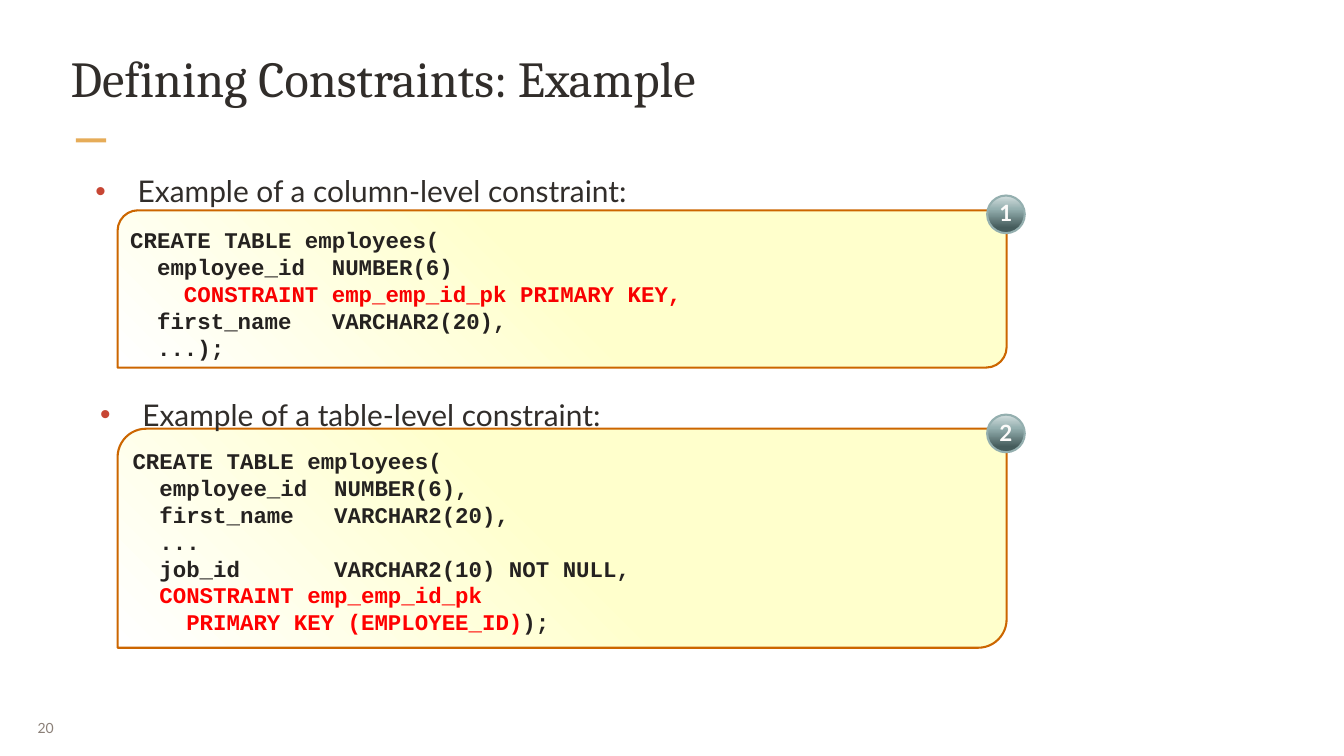
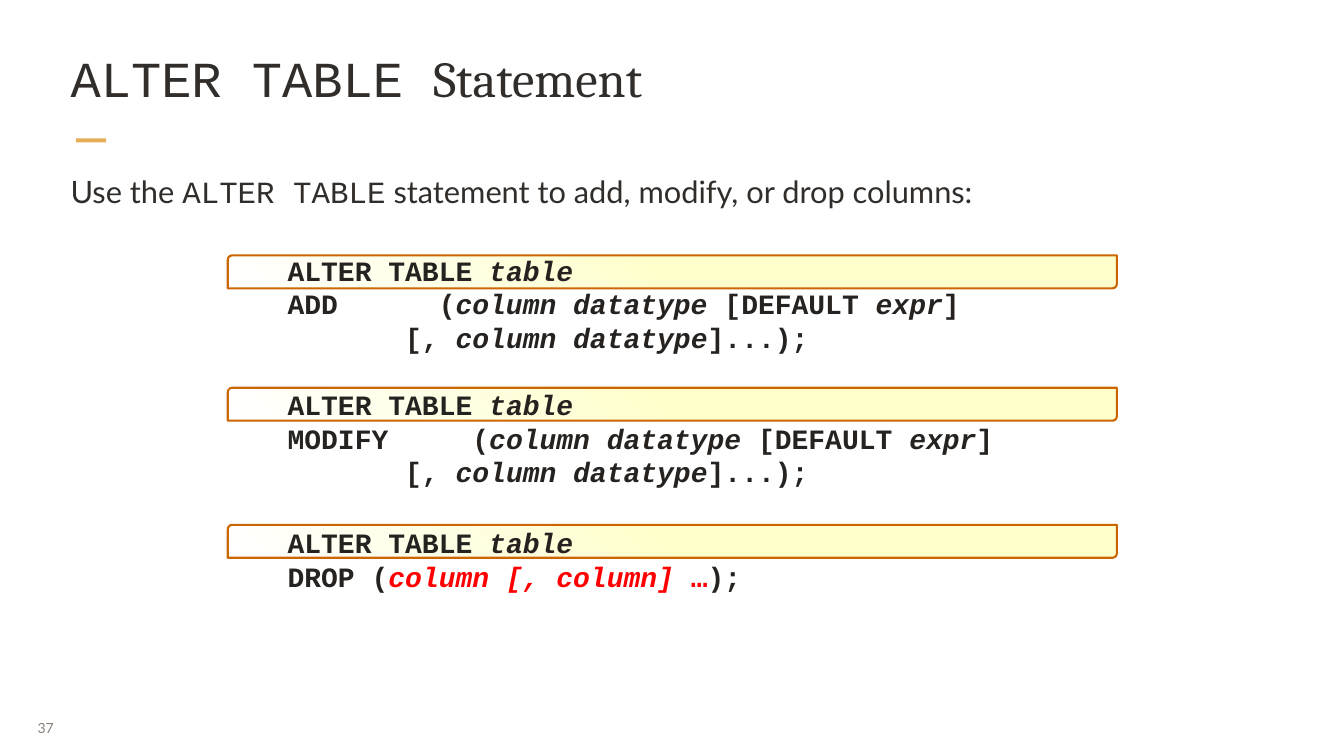
"""Build two slides on SQL constraints and the ALTER TABLE statement."""
from dataclasses import dataclass

from lxml import etree
from pptx import Presentation
from pptx import util as u
from pptx.dml import color
from pptx.enum import shapes, text
from pptx.oxml import ns


@dataclass(frozen=True)
class Theme:
    ink: str = "312D2A"
    code_ink: str = "252220"
    red: str = "FF0000"
    dark_red: str = "F80000"
    muted: str = "8B8078"
    accent: str = "E6AC58"
    bullet: str = "C74634"
    box_line: str = "CC6600"
    badge_line: str = "94AFAF"
    badge_ink: str = "FCFBFA"
    box_stops: tuple = ((0, "FFFFCC"), (50, "FFFFCC"), (100, "FFFFFF"))
    badge_stops: tuple = ((0, "D4DFDF"), (36, "94AFAF"), (85, "455C5C"))
    heading_font: str = "Cambria"
    body_font: str = "Lato"
    code_font: str = "Courier New"
    title_size: int = 54
    lead_size: int = 33
    bullet_size: int = 32
    syntax_size: int = 30
    code_size: int = 24
    number_size: int = 15


theme = Theme()
run_styles = {
    "title": (theme.heading_font, theme.ink, False, False),
    "body": (theme.body_font, theme.ink, False, False),
    "keyword": (theme.code_font, theme.ink, False, False),
    "number": (theme.body_font, theme.muted, False, False),
    "badge": (theme.body_font, theme.badge_ink, True, False),
    "code": (theme.code_font, theme.code_ink, True, False),
    "variable": (theme.code_font, theme.code_ink, True, True),
    "red": (theme.code_font, theme.red, True, False),
    "dark red": (theme.code_font, theme.dark_red, True, False),
    "red variable": (theme.code_font, theme.red, True, True),
}


def add_gradient_shape(slide, kind, place, stops, angle, line_color):
    shape = slide.shapes.add_shape(kind, *map(u.Inches, place))
    shape.shadow.inherit = False
    gradient = etree.Element(ns.qn("a:gradFill"), rotWithShape="1")
    stop_list = etree.SubElement(gradient, ns.qn("a:gsLst"))
    for position, value in stops:
        stop = etree.SubElement(stop_list, ns.qn("a:gs"), pos=str(position * 1000))
        etree.SubElement(stop, ns.qn("a:srgbClr"), val=value)
    etree.SubElement(gradient, ns.qn("a:lin"), ang=str(angle * 60000), scaled="0")
    shape._element.spPr.find(ns.qn("a:prstGeom")).addnext(gradient)
    shape.line.color.rgb = color.RGBColor.from_string(line_color)
    shape.line.width = u.Pt(2.25)
    return shape


def write_text(shape, paragraphs, size, insets, wrap=True, anchor=text.MSO_ANCHOR.TOP,
               align=text.PP_ALIGN.LEFT, spacing=1.0, grow=False, bullet=False):
    frame = shape.text_frame
    frame.word_wrap = wrap
    frame.vertical_anchor = anchor
    frame.auto_size = text.MSO_AUTO_SIZE.SHAPE_TO_FIT_TEXT if grow else text.MSO_AUTO_SIZE.NONE
    frame.margin_left, frame.margin_top, frame.margin_right, frame.margin_bottom = map(u.Inches, insets)
    for index, runs in enumerate(paragraphs):
        paragraph = frame.add_paragraph() if index else frame.paragraphs[0]
        paragraph.alignment = align
        paragraph.line_spacing = spacing
        if bullet:
            paragraph.level = 1
            properties = paragraph._p.get_or_add_pPr()
            properties.set("marL", str(u.Inches(1)))
            properties.set("indent", str(u.Inches(-0.63)))
            bullet_color = etree.SubElement(properties, ns.qn("a:buClr"))
            etree.SubElement(bullet_color, ns.qn("a:srgbClr"), val=theme.bullet)
            etree.SubElement(properties, ns.qn("a:buFont"), typeface="Arial")
            etree.SubElement(properties, ns.qn("a:buChar"), char="•")
        for words, style in runs:
            run = paragraph.add_run()
            run.text = words
            font = run.font
            font.name, value, font.bold, font.italic = run_styles[style]
            font.color.rgb = color.RGBColor.from_string(value)
            font.size = u.Pt(size)


presentation = Presentation()
presentation.slide_width = u.Inches(20)
presentation.slide_height = u.Inches(11.25)
thin = (0.03,) * 4
middle = text.MSO_ANCHOR.MIDDLE

titles = [
    ("20", [("Defining Constraints: Example", "title")]),
    ("37", [("ALTER TABLE ", "keyword"), ("Statement", "title")]),
]
slides = []
for number, title_runs in titles:
    slide = presentation.slides.add_slide(presentation.slide_layouts[6])
    slides.append(slide)
    dash = slide.shapes.add_shape(shapes.MSO_SHAPE.RECTANGLE, *map(u.Inches, (1.13, 2.06, 0.45, 0.06)))
    dash.shadow.inherit = False
    dash.fill.solid()
    dash.fill.fore_color.rgb = color.RGBColor.from_string(theme.accent)
    dash.line.fill.background()
    number_box = slide.shapes.add_textbox(*map(u.Inches, (0.43, 10.54, 0.65, 0.58)))
    write_text(number_box, [[(number, "number")]], theme.number_size, (0.13, 0.07, 0.13, 0.07),
               wrap=False, anchor=middle, align=text.PP_ALIGN.JUSTIFY)
    title_box = slide.shapes.add_textbox(*map(u.Inches, (1.02, 0.67, 17.96, 1.28)))
    write_text(title_box, [title_runs], theme.title_size, thin)

constraint_slide, alter_slide = slides

column_code = [
    [("CREATE TABLE employees(", "code")],
    [("  employee_id  NUMBER(6)", "code")],
    [("    CONSTRAINT emp_emp_id_pk PRIMARY KEY,", "dark red")],
    [("  first_name   VARCHAR2(20),", "code")],
    [("  ...);", "code")],
]
table_code = [
    [("CREATE TABLE employees(", "code")],
    [("  employee_id  NUMBER(6),", "code")],
    [("  first_name   VARCHAR2(20),", "code")],
    [("  ...", "code")],
    [("  job_id       VARCHAR2(10) NOT NULL,", "code")],
    [("  CONSTRAINT emp_emp_id_pk", "red")],
    [("    PRIMARY KEY (EMPLOYEE_ID)", "red"), (");", "code")],
]
examples = [
    ("1", "Example of a column-level constraint:", column_code,
     (1.75, 3.13, 13.23, 2.34), (1.02, 2.49, 17.96, 0.62), thin, True, 2.91),
    ("2", "Example of a table-level constraint:", table_code,
     (1.75, 6.38, 13.23, 3.26), (1.02, 5.8, 8.29, 0.66), (0.1, 0.05, 0.1, 0.05), False, 6.17),
]
for label, heading, code, code_place, heading_place, insets, wrap, badge_top in examples:
    code_box = add_gradient_shape(constraint_slide, shapes.MSO_SHAPE.ROUND_2_DIAG_RECTANGLE,
                                  code_place, theme.box_stops, 135, theme.box_line)
    code_box.adjustments[0] = 0.13
    write_text(code_box, code, theme.code_size, (0.1, 0.15, 0.02, 0), grow=True)
    heading_box = constraint_slide.shapes.add_textbox(*map(u.Inches, heading_place))
    write_text(heading_box, [[(heading, "body")]], theme.bullet_size, insets,
               wrap=wrap, spacing=1.1, grow=True, bullet=True)
    badge = add_gradient_shape(constraint_slide, shapes.MSO_SHAPE.OVAL,
                               (14.69, badge_top, 0.56, 0.56), theme.badge_stops, 90, theme.badge_line)
    write_text(badge, [[(label, "badge")]], theme.code_size, (0.08,) * 4, wrap=False,
               anchor=middle, align=text.PP_ALIGN.CENTER, spacing=0.95)

lead = [("Use the ", "body"), ("ALTER TABLE", "keyword"),
        (" statement to add, modify, or drop columns:", "body")]
lead_box = alter_slide.shapes.add_textbox(*map(u.Inches, (1.02, 2.49, 17.96, 0.65)))
write_text(lead_box, [lead], theme.lead_size, thin, spacing=1.1, grow=True)

first_line = [("ALTER TABLE ", "code"), ("table", "variable")]
column_runs = [("column datatype ", "variable"), ("[DEFAULT ", "code"),
               ("expr", "variable"), ("]", "code")]
more_columns = [("\t\t   [, ", "code"), ("column datatype", "variable"), ("]...);", "code")]
statements = [
    (3.8, 3.75, [[("ADD\t\t   (", "code")] + column_runs, more_columns]),
    (5.77, 5.75, [[("MODIFY\t   (", "code")] + column_runs, more_columns]),
    (7.81, 7.55, [[("DROP (", "code"), ("column [, column]", "red variable"),
                   (" …", "red"), (");", "code")]]),
]
for band_top, syntax_top, clauses in statements:
    band = add_gradient_shape(alter_slide, shapes.MSO_SHAPE.ROUND_2_DIAG_RECTANGLE,
                              (3.39, band_top, 13.23, 0.49), theme.box_stops, 135, theme.box_line)
    band.adjustments[0] = 0.13
    syntax_box = alter_slide.shapes.add_textbox(*map(u.Inches, (4.13, syntax_top, 11.98, 1.54)))
    write_text(syntax_box, [first_line] + clauses, theme.syntax_size, (0.15, 0.08, 0.15, 0.08),
               wrap=False, anchor=middle)

presentation.save("out.pptx")
